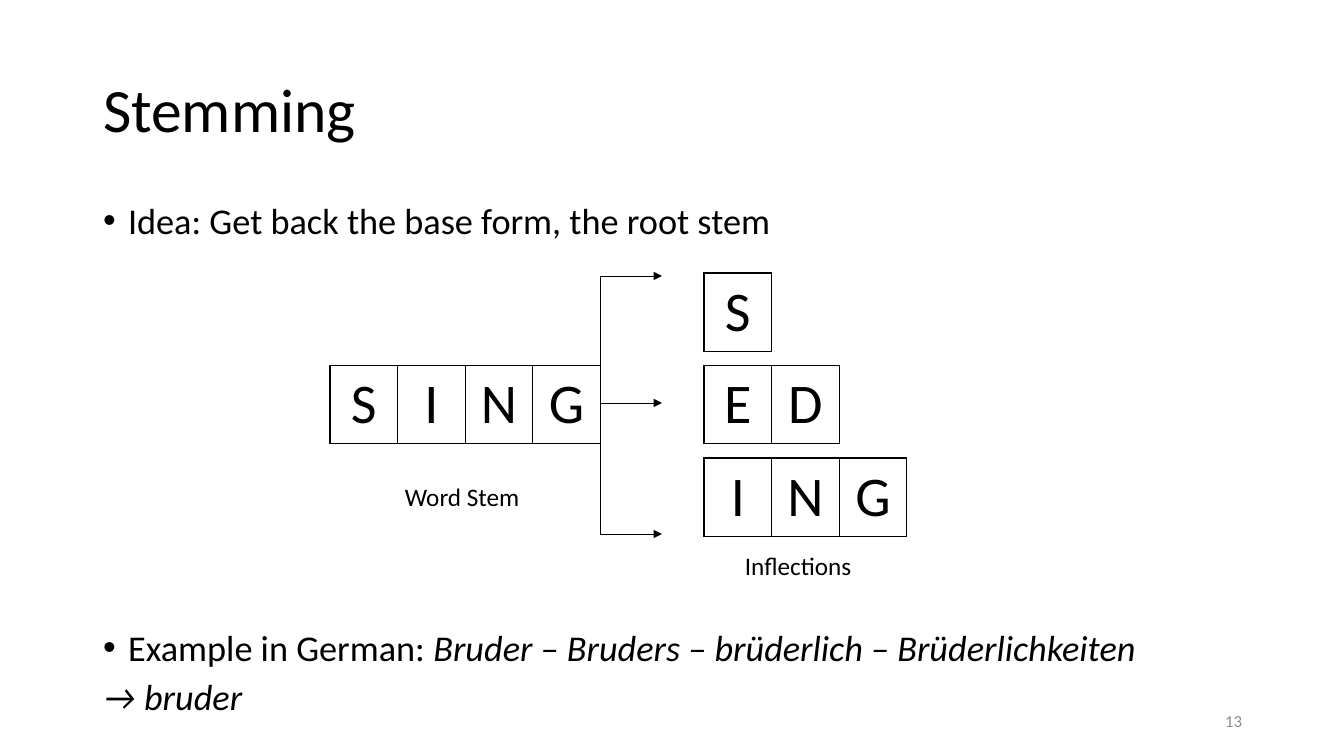
"""Build the slide on stemming: a word stem, its inflections and an example."""
import pptx
import pptx.util
import pptx.oxml
import pptx.dml.color
import pptx.enum.text
import pptx.enum.shapes

BLACK = pptx.dml.color.RGBColor(0, 0, 0)
GREY = pptx.dml.color.RGBColor(0x8C, 0x8C, 0x8C)
ALIGN = pptx.enum.text.PP_ALIGN
ANCHOR = pptx.enum.text.MSO_ANCHOR
KIND = pptx.enum.shapes.MSO_CONNECTOR
NS = 'xmlns:a="http://schemas.openxmlformats.org/drawingml/2006/main"'
SCALE = 914400 / 100.8

TITLE = ("Stemming", (93, 40, 1159, 146))
BODY = (93, 202, 1159, 526)
POINTS = [
    {"runs": [("Idea: Get back the base form, the root stem", False)],
     "gap": 10, "left": 25},
    {"runs": [("Example in German: ", False),
              ("Bruder – Bruders – brüderlich – Brüderlichkeiten", True)],
     "gap": 280, "left": 25},
    {"runs": [("→ bruder", True)], "gap": 10, "left": 0},
]
STEM = "SING"
ENDINGS = ["S", "ED", "ING"]
LABELS = [("Word Stem", (395, 476, 139, 40)), ("Inflections", (735, 545, 139, 40))]
NUMBER = ("13", (950, 701, 302, 40))
CELL_W, CELL_H, PITCH = 67.6, 78, 92.5
STEM_X, END_X, TOP = 330, 704, 273
FORK, TIP, MID = 600, 662, 403
ARROWS = [(KIND.ELBOW, MID, 534), (KIND.ELBOW, 365, 276), (KIND.STRAIGHT, MID, MID)]


def px(size):
    return pptx.util.Emu(round(size * SCALE))


def node(xml):
    return pptx.oxml.parse_xml(xml.replace(" ", f" {NS} ", 1))


def write(para, text, size=18, color=BLACK, italic=False, align=ALIGN.LEFT):
    run = para.add_run()
    run.text = text
    font = run.font
    font.name, font.size, font.italic = "Calibri", pptx.util.Pt(size), italic
    font.color.rgb = color
    para.alignment = align


def place(shape, box):
    shape.left, shape.top, shape.width, shape.height = map(px, box)


def label(text, box, anchor=ANCHOR.TOP, **style):
    frame = slide.shapes.add_textbox(*map(px, box)).text_frame
    frame.word_wrap = True
    frame.vertical_anchor = anchor
    write(frame.paragraphs[0], text, **style)


def tiles(word, left, top):
    grid = slide.shapes.add_table(
        1, len(word), px(left), px(top), px(CELL_W * len(word)), px(CELL_H)).table
    grid.first_row = grid.horz_banding = False
    for cell, letter in zip(grid.iter_cells(), word):
        write(cell.text_frame.paragraphs[0], letter, size=40, align=ALIGN.CENTER)
        props = cell._tc.get_or_add_tcPr()
        for side in "LRTB":
            props.append(node(
                f'<a:ln{side} w="12700"><a:solidFill><a:srgbClr val="{BLACK}"/>'
                f'</a:solidFill></a:ln{side}>'))
        cell.fill.background()


def arrow(kind, start, end):
    link = slide.shapes.add_connector(kind, px(FORK), px(start), px(TIP), px(end))
    link.line.color.rgb = BLACK
    link.line.width = pptx.util.Pt(0.5)
    link.line._get_or_add_ln().append(node('<a:tailEnd type="triangle"/>'))
    props = link._element.spPr
    props.append(node('<a:effectLst />'))
    if kind == KIND.ELBOW:
        props.prstGeom.get_or_add_avLst().append(node('<a:gd name="adj1" fmla="val 0"/>'))


deck = pptx.Presentation()
deck.slide_width, deck.slide_height = px(1344), px(756)
slide = deck.slides.add_slide(deck.slide_layouts[1])
head, body = slide.placeholders

place(head, TITLE[1])
head.text_frame.vertical_anchor = ANCHOR.MIDDLE
head.text_frame.paragraphs[0].line_spacing = 0.9
write(head.text_frame.paragraphs[0], TITLE[0], size=44)

place(body, BODY)
frame = body.text_frame
frame.auto_size = pptx.enum.text.MSO_AUTO_SIZE.NONE
for index, point in enumerate(POINTS):
    para = frame.add_paragraph() if index else frame.paragraphs[0]
    para.line_spacing = 0.8
    para.space_before = pptx.util.Pt(point["gap"])
    props = para._p.get_or_add_pPr()
    props.set("marL", str(px(point["left"])))
    props.set("indent", str(px(-point["left"])))
    if not point["left"]:
        props.append(node('<a:buNone />'))
    for text, italic in point["runs"]:
        write(para, text, size=25.9, italic=italic)

tiles(STEM, STEM_X, TOP + PITCH)
for row, ending in enumerate(ENDINGS):
    tiles(ending, END_X, TOP + row * PITCH)
for link in ARROWS:
    arrow(*link)
for text, box in LABELS:
    label(text, box)
label(*NUMBER, anchor=ANCHOR.MIDDLE, size=12, color=GREY, align=ALIGN.RIGHT)

deck.save("out.pptx")
